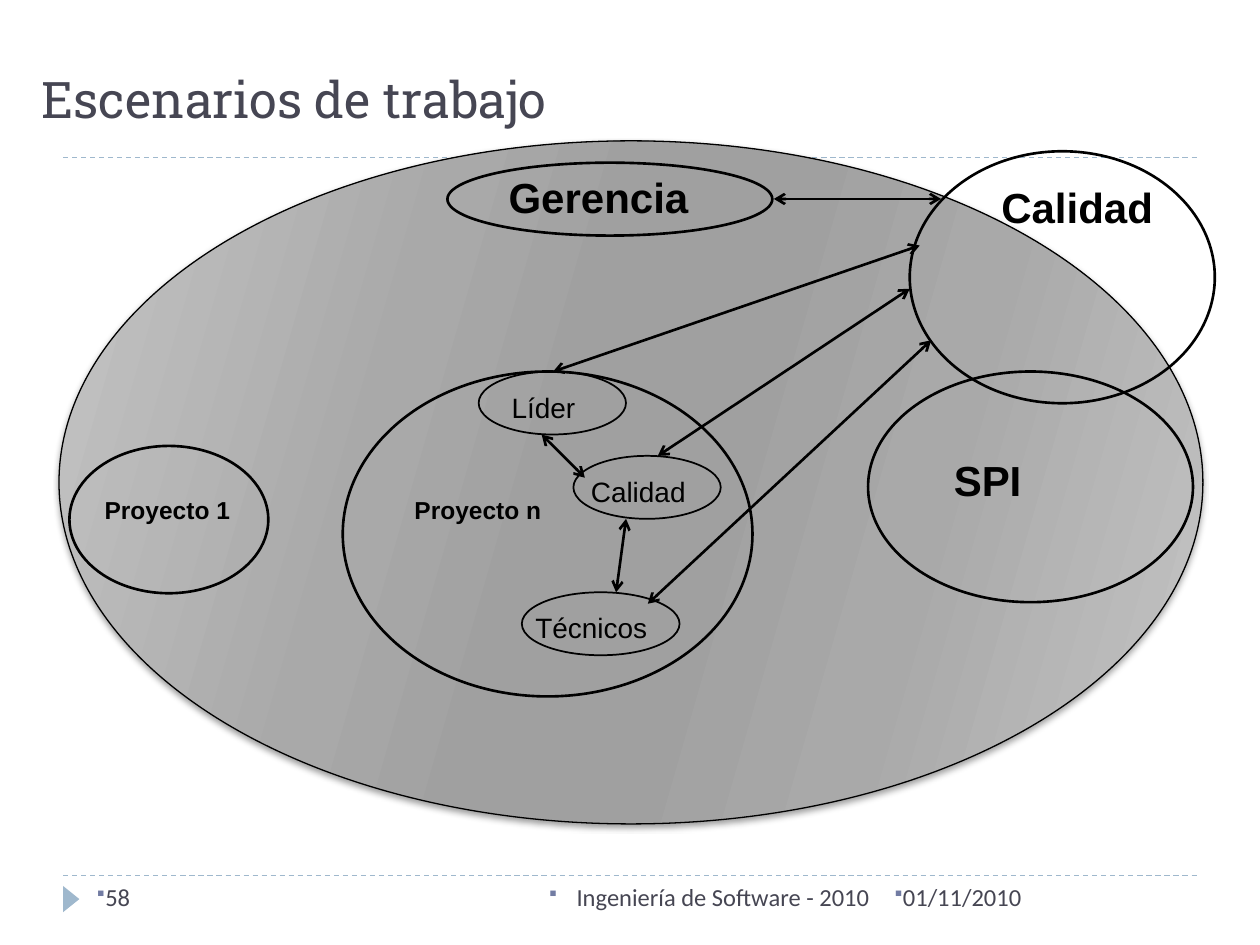
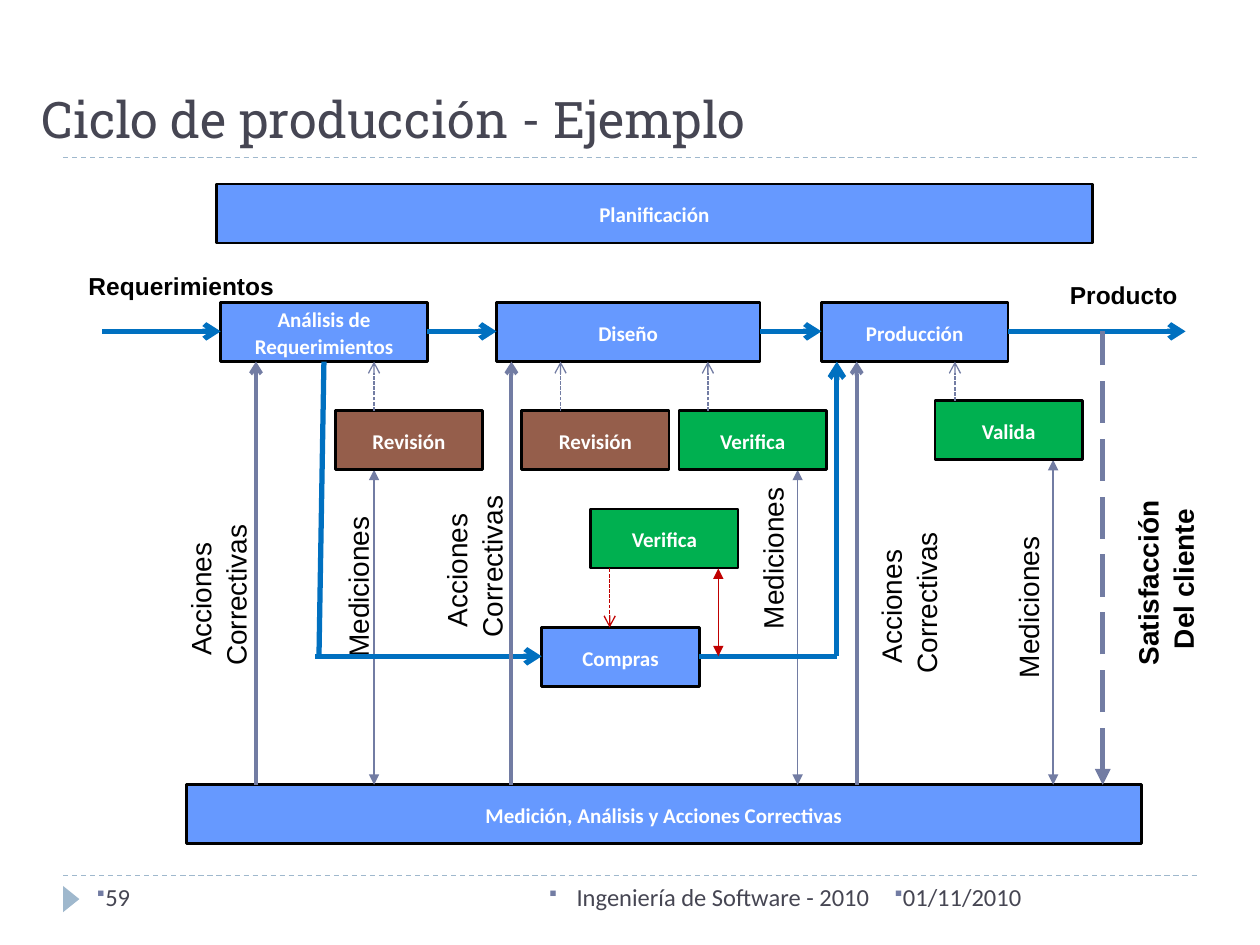
from dataclasses import dataclass

from lxml import etree
from pptx import Presentation
from pptx import util as u
from pptx.dml import color
from pptx.enum import dml, shapes, text
from pptx.oxml import ns


@dataclass(frozen=True)
class Theme:
    ink: str = "464653"
    black: str = "000000"
    white: str = "FFFFFF"
    rule: str = "9FB8CD"
    slate: str = "727CA3"
    flow: str = "0070C0"
    red: str = "C00000"
    blue: str = "6699FF"
    brown: str = "955E4B"
    green: str = "00B050"
    grays: tuple = ((0, "C5C5C5"), (30, "A9A9A9"), (45, "A0A0A0"),
                    (55, "A0A0A0"), (73, "A9A9A9"), (100, "C5C5C5"))
    head: str = "Roboto Slab"
    body: str = "Calibri"
    label: str = "Arial"
    title: float = 28.8
    large: int = 24
    mid: int = 16
    small: int = 14
    box: int = 12


T = Theme()
DASH = dml.MSO_LINE
KIND = shapes.MSO_SHAPE
ALIGN = text.PP_ALIGN
ANCHOR = text.MSO_ANCHOR


def rgb(hue):
    return color.RGBColor.from_string(hue)


def cm(*sizes):
    return [u.Cm(size) for size in sizes]


def sub(parent, tag, **attrs):
    return etree.SubElement(parent, ns.qn(tag), attrs)


def write(para, words, size, font, hue, bold=False):
    run = para.add_run()
    run.text = words
    run.font.size = u.Pt(size)
    run.font.name = font
    run.font.bold = bold
    run.font.color.rgb = rgb(hue)


def stroke(line, hue, width, dash=None):
    line.color.rgb = rgb(hue)
    line.width = u.Pt(width)
    if dash:
        line.dash_style = dash


def shape(slide, kind, place, fill=None, width=None):
    item = slide.shapes.add_shape(kind, *cm(*place))
    item.shadow.inherit = False
    if fill:
        item.fill.solid()
        item.fill.fore_color.rgb = rgb(fill)
    else:
        item.fill.background()
    if width:
        stroke(item.line, T.black, width)
    else:
        item.line.fill.background()
    return item


def link(slide, start, end, hue, width, dash=None, head=None, tail=None):
    item = slide.shapes.add_connector(
        shapes.MSO_CONNECTOR.STRAIGHT, *cm(*start, *end))
    stroke(item.line, hue, width, dash)
    props = item.element.spPr
    for tag, tip in (("a:headEnd", head), ("a:tailEnd", tail)):
        if tip:
            sub(props.find(ns.qn("a:ln")), tag, type=tip)
    sub(props, "a:effectLst")


def label(slide, place, lines, size, bold=False, turn=0):
    item = slide.shapes.add_textbox(*cm(*place))
    item.rotation = turn
    frame = item.text_frame
    frame.word_wrap = False
    for row, words in enumerate(lines):
        para = frame.add_paragraph() if row else frame.paragraphs[0]
        para.alignment = ALIGN.CENTER
        para.line_spacing = 1.05
        write(para, words, size, T.label, T.black, bold)


def box(slide, words, left, top, width, fill=T.blue):
    item = shape(slide, KIND.RECTANGLE, (left, top, width, 1.19), fill, 1.5)
    frame = item.text_frame
    frame.word_wrap = True
    frame.vertical_anchor = ANCHOR.MIDDLE
    para = frame.paragraphs[0]
    para.alignment = ALIGN.CENTER
    para.line_spacing = 1.05
    write(para, words, T.box, T.body, T.white, True)


def note(slide, words, left, width, align=ALIGN.LEFT, hang=0):
    item = slide.shapes.add_textbox(*cm(left, 17.65, width, 1.02))
    item.text_frame.word_wrap = True
    para = item.text_frame.paragraphs[0]
    para.alignment = align
    props = para._p.get_or_add_pPr()
    props.set("marL", str(u.Cm(hang)))
    props.set("indent", str(-u.Cm(hang)))
    sub(sub(props, "a:buClr"), "a:srgbClr", val=T.slate)
    sub(props, "a:buSzPct", val="76000")
    sub(props, "a:buFont", typeface="Wingdings")
    sub(props, "a:buChar", char="§")
    write(para, words, T.small, T.body, T.ink)


def page(deck, title, top, count):
    slide = deck.slides.add_slide(deck.slide_layouts[5])
    for level in (17.65, 3.18):
        link(slide, (1.27, level), (24.13, level), T.rule, 0.75, DASH.DASH)
    mark = shape(slide, KIND.ISOSCELES_TRIANGLE,
                 (1.17, 17.96, 0.53, 0.33), T.rule)
    mark.rotation = 90
    note(slide, "01/11/2010", 17.78, 6.35)
    note(slide, "Ingeniería de Software - 2010", 8.05, 9.73, ALIGN.RIGHT, 0.56)
    note(slide, count, 1.7, 5.51)
    head = slide.shapes.title
    head.left, head.top, head.width, head.height = cm(0.58, top, 23.83, 1.4)
    frame = head.text_frame
    frame.auto_size = text.MSO_AUTO_SIZE.NONE
    frame.vertical_anchor = ANCHOR.BOTTOM
    frame.paragraphs[0].alignment = ALIGN.LEFT
    write(frame.paragraphs[0], title, T.title, T.head, T.ink)
    return slide


def field(slide, place):
    item = shape(slide, KIND.OVAL, place, width=0.75)
    item.fill.gradient()
    item.fill.gradient_angle = 344
    props = item.element.spPr
    stops = props.find(ns.qn("a:gradFill")).find(ns.qn("a:gsLst"))
    for stop in list(stops):
        stops.remove(stop)
    for spot, hue in T.grays:
        stop = sub(stops, "a:gs", pos=str(spot * 1000))
        sub(stop, "a:srgbClr", val=hue)
    cast = sub(props.find(ns.qn("a:effectLst")), "a:outerShdw",
               blurRad=str(u.Pt(3)), dist=str(u.Pt(2)), dir="5400000",
               algn="ctr", rotWithShape="0")
    sub(sub(cast, "a:srgbClr", val=T.black), "a:alpha", val="40000")


def scenes(deck):
    slide = page(deck, "Escenarios de trabajo", 1.32, "58")
    field(slide, (1.19, 2.84, 23.06, 13.77))
    groups = (
        ("Calidad", T.large, (18.34, 3.05, 6.15, 5.08), (19.91, 3.48, 3.61, 1.32)),
        ("Proyecto 1", T.small, (1.4, 8.99, 4.01, 2.97), (1.85, 9.83, 3.05, 0.89)),
        ("Proyecto n", T.small, (6.91, 7.49, 8.26, 6.55), (8.1, 9.83, 3.07, 0.89)),
        ("SPI", T.large, (17.5, 7.49, 6.55, 4.65), (18.97, 8.99, 1.88, 1.32)),
        ("Gerencia", T.large, (9.02, 3.28, 6.55, 1.47), (9.98, 3.28, 4.17, 1.32)),
    )
    for words, size, ring, place in groups:
        shape(slide, KIND.OVAL, ring, width=1.5)
        label(slide, place, [words], size, True)
    roles = (("Calidad", 11.56, 9.19, 2.97), ("Líder", 9.65, 7.49, 2.97),
             ("Técnicos", 10.52, 11.94, 3.18))
    for words, left, top, width in roles:
        shape(slide, KIND.OVAL, (left, top, width, 1.27), width=1)
        label(slide, (left, top + 0.22, width * 0.88, 0.91), [words], T.mid)
    ties = (
        ((18.54, 4.95), (11.15, 7.49)),
        ((18.34, 5.82), (13.26, 9.19)),
        ((18.97, 4.01), (15.6, 4.01)),
        ((18.77, 6.86), (13.06, 12.17)),
        ((11.79, 9.63), (10.92, 8.76)),
        ((12.62, 10.46), (12.42, 11.94)),
    )
    for start, end in ties:
        link(slide, start, end, T.black, 1.5, head="arrow", tail="arrow")


def cycle(deck):
    slide = page(deck, "Ciclo de producción - Ejemplo", 1.73, "59")
    base, foot, main, buy = 15.82, 7.29, 6.68, 13.23

    box(slide, "Medición, Análisis y Acciones Correctivas", 3.76, base, 19.25)
    gauges = ((7.54, 9.47, 5.51, 11.35), (16.08, 9.47, 13.87, 10.77),
              (21.23, 9.27, 19.02, 11.76))
    for x, end, left, top in gauges:
        link(slide, (x, base), (x, end), T.slate, 0.75,
             head="triangle", tail="triangle")
        label(slide, (left, top, 3.38, 0.97), ["Mediciones"], T.mid, turn=270)

    steps = (("Análisis de Requerimientos", 4.45, 4.17),
             ("Diseño", 10.01, 5.31), ("Producción", 16.56, 3.76))
    for words, left, width in steps:
        box(slide, words, left, 6.1, width)
    for start, end in ((2.06, 4.45), (8.61, 10.01), (15.32, 16.56), (20.32, 23.9)):
        link(slide, (start, main), (end, main), T.flow, 3, tail="arrow")
    label(slide, (1.47, 5.31, 4.37, 0.84), ["Requerimientos"], T.small, True)
    label(slide, (21.31, 5.49, 2.69, 0.89), ["Producto"], T.small, True)

    box(slide, "Compras", 10.92, 12.65, 3.18)
    route = (((6.53, foot), (6.43, buy), None),
             ((6.35, buy), (10.92, buy), "arrow"),
             ((14.1, buy), (16.87, buy), None),
             ((16.87, buy), (16.87, foot), "arrow"))
    for start, end, tip in route:
        link(slide, start, end, T.flow, 3, tail=tip)
    box(slide, "Planificación", 4.37, 3.71, 17.65)

    checks = (("Revisión", 6.76, 8.28, T.brown, 7.54),
              ("Revisión", 10.52, 8.28, T.brown, 11.3),
              ("Verifica", 13.69, 8.28, T.green, 14.27),
              ("Valida", 18.85, 8.08, T.green, 19.25))
    for words, left, top, fill, x in checks:
        box(slide, words, left, top, 2.97, fill)
        link(slide, (x, top), (x, foot), T.slate, 0.75,
             DASH.SQUARE_DOT, tail="arrow")
    box(slide, "Verifica", 11.91, 10.26, 2.97, T.green)
    link(slide, (12.29, 11.46), (12.29, 12.65), T.red, 0.75,
         DASH.SQUARE_DOT, tail="arrow")
    link(slide, (14.48, buy), (14.48, 11.46), T.red, 0.75,
         head="triangle", tail="triangle")

    fixes = ((5.16, 2.69, 11.15), (10.31, 7.85, 10.57), (17.27, 16.61, 11.3))
    for x, left, top in fixes:
        link(slide, (x, base), (x, foot), T.slate, 2.25, tail="arrow")
        label(slide, (left, top, 3.4, 1.7), ["Acciones ", "Correctivas"],
              T.mid, turn=270)
    link(slide, (22.23, base), (22.23, main), T.slate, 3,
         DASH.LONG_DASH, head="triangle")
    label(slide, (21.44, 10.85, 4.04, 1.65), ["Satisfacción ", "Del cliente"],
          T.mid, True, 270)


def main():
    deck = Presentation()
    deck.slide_width, deck.slide_height = cm(25.4, 19.05)
    scenes(deck)
    cycle(deck)
    deck.save("out.pptx")


if __name__ == "__main__":
    main()
